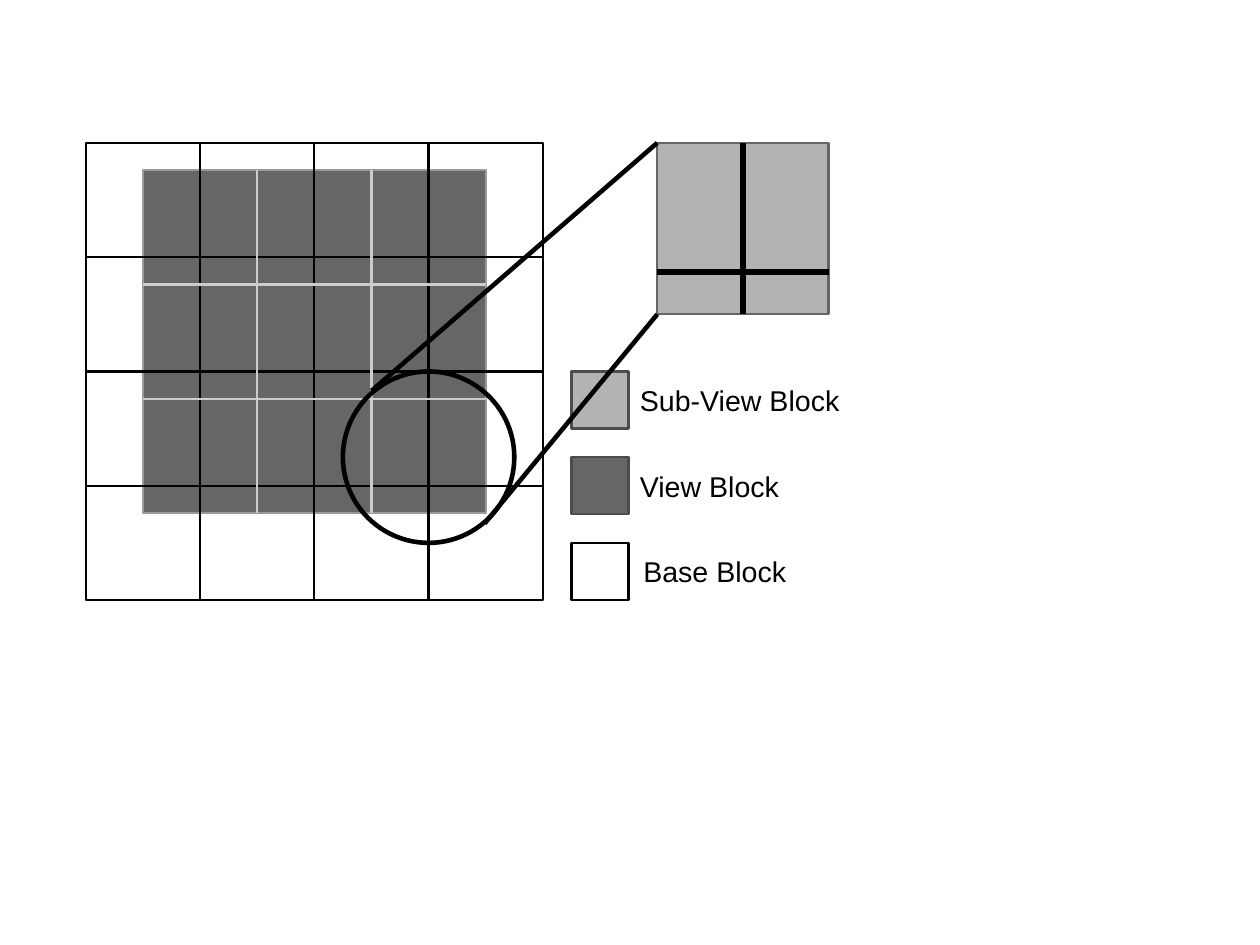
from pptx import Presentation
from pptx.dml.color import RGBColor
from pptx.enum.shapes import MSO_CONNECTOR, MSO_SHAPE
from pptx.enum.text import MSO_ANCHOR, PP_ALIGN
from pptx.oxml.ns import qn
from pptx.util import Inches, Pt
from lxml.etree import SubElement

BLACK = RGBColor(0x00, 0x00, 0x00)
CHARCOAL = RGBColor(0x4C, 0x4C, 0x4C)
DARK = RGBColor(0x66, 0x66, 0x66)
MID = RGBColor(0x99, 0x99, 0x99)
LIGHT = RGBColor(0xB3, 0xB3, 0xB3)
PALE = RGBColor(0xCC, 0xCC, 0xCC)

CM_PER_INCH = 2.54
SLIDE_CM = (28, 21)
THIN, MEDIUM, THICK = 1.45, 2.89, 4.31
CELL = 1
BASE = {"left": 0.75, "top": 1.25, "cells": 4}
VIEW = {"left": 1.25, "top": 1.49, "cells": 3}
LENS = (3, 3.25, 1.5)
DETAIL = (5.75, 1.25, 1.5)
DETAIL_SPLIT = (6.5, 2.38)
ZOOM_LINES = [(3.25, 3.42, 5.75, 1.25), (4.24, 4.58, 5.75, 2.75)]
LEGEND = [
    ("Sub-View Block", LIGHT, CHARCOAL, 5.5, 2),
    ("View Block", DARK, CHARCOAL, 5.5, 1.5),
    ("Base Block", None, BLACK, 5.53, 1.5),
]
LEGEND_LEFT, LEGEND_TOP, LEGEND_STEP, SWATCH = 5, 3.25, 0.75, 0.5
LABEL_FONT = {"name": "Arial", "size": Pt(18)}


def add_square(shapes, left, top, side, fill, color, width=THIN, kind=MSO_SHAPE.RECTANGLE):
    sp = shapes.add_shape(kind, Inches(left), Inches(top), Inches(side), Inches(side))
    sp.shadow.inherit = False
    if fill is None:
        sp.fill.background()
    else:
        sp.fill.solid()
        sp.fill.fore_color.rgb = fill
    sp.line.color.rgb = color
    sp.line.width = Pt(width)


def add_line(shapes, x1, y1, x2, y2, color, width):
    ln = shapes.add_connector(MSO_CONNECTOR.STRAIGHT, *map(Inches, (x1, y1, x2, y2)))
    ln.line.color.rgb = color
    ln.line.width = Pt(width)
    SubElement(ln._element.spPr, qn("a:effectLst"))


def add_grid_lines(shapes, left, top, cells, color):
    side = cells * CELL
    for i in range(1, cells):
        x, y = left + i * CELL, top + i * CELL
        add_line(shapes, x, top, x, top + side, color, THIN)
        add_line(shapes, left, y, left + side, y, color, THIN)


def add_label(shapes, text, left, top, width):
    tf = shapes.add_textbox(*map(Inches, (left, top, width, SWATCH))).text_frame
    tf.word_wrap = True
    tf.vertical_anchor = MSO_ANCHOR.MIDDLE
    p = tf.paragraphs[0]
    p.alignment = PP_ALIGN.LEFT
    r = p.add_run()
    r.text = text
    for name, value in LABEL_FONT.items():
        setattr(r.font, name, value)
    r.font.color.rgb = BLACK


def main():
    prs = Presentation()
    prs.slide_width, prs.slide_height = (Inches(cm / CM_PER_INCH) for cm in SLIDE_CM)
    s = prs.slides.add_slide(prs.slide_layouts[6])

    add_square(s.shapes, VIEW["left"], VIEW["top"], VIEW["cells"] * CELL, DARK, MID)
    base = s.shapes.add_group_shape().shapes
    add_square(base, BASE["left"], BASE["top"], BASE["cells"] * CELL, None, BLACK)
    add_grid_lines(base, **BASE, color=BLACK)
    add_grid_lines(s.shapes, **VIEW, color=PALE)
    add_square(s.shapes, *LENS, None, BLACK, MEDIUM, MSO_SHAPE.OVAL)

    detail = s.shapes.add_group_shape().shapes
    add_square(detail, *DETAIL, LIGHT, DARK)
    left, top, side = DETAIL
    x, y = DETAIL_SPLIT
    add_line(detail, x, top, x, top + side, BLACK, THICK)
    add_line(detail, left, y, left + side, y, BLACK, THICK)

    legend = s.shapes.add_group_shape().shapes
    for i, (text, fill, color, label_left, width) in enumerate(LEGEND):
        top = LEGEND_TOP + i * LEGEND_STEP
        add_square(legend, LEGEND_LEFT, top, SWATCH, fill, color)
        add_label(legend, text, label_left, top, width)

    for ends in ZOOM_LINES:
        add_line(s.shapes, *ends, BLACK, MEDIUM)

    prs.save("out.pptx")


if __name__ == "__main__":
    main()
